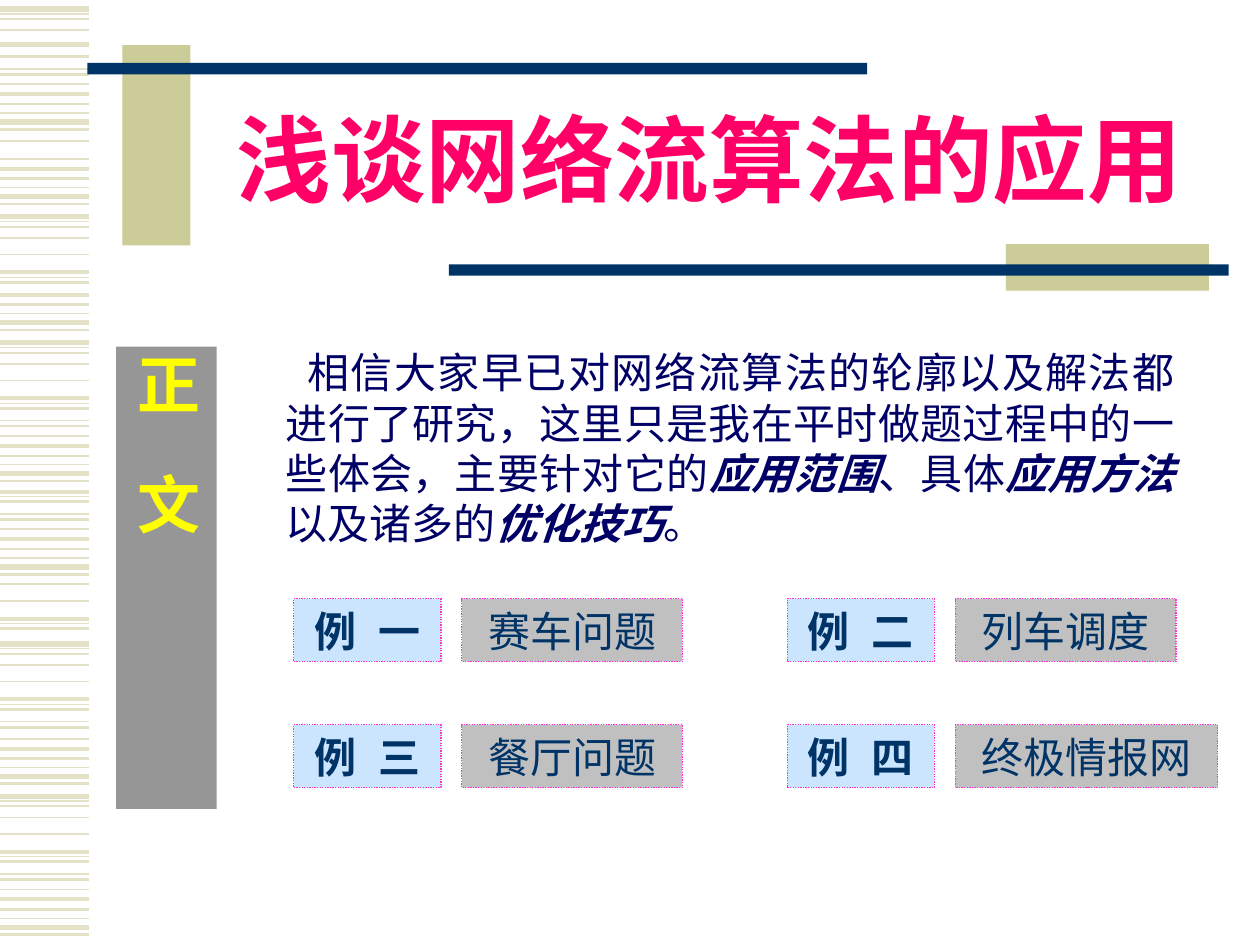
import pptx
import pptx.dml.color
import pptx.enum.dml
import pptx.enum.shapes
import pptx.enum.text
import pptx.oxml.ns
import pptx.util
from lxml import etree

Cm, Pt = pptx.util.Cm, pptx.util.Pt
Align = pptx.enum.text.PP_ALIGN
Anchor = pptx.enum.text.MSO_ANCHOR
qn = pptx.oxml.ns.qn

COLORS = {
    "stripe": "E3E2C7", "sand": "CCCC99", "navy": "003366", "grey": "969696",
    "yellow": "FFFF00", "rose": "FF0066", "ink": "000066", "sky": "99CCFF",
    "pink": "FF33CC", "silver": "C0C0C0",
}
SANS, SERIF = "Noto Sans CJK SC", "Times New Roman"

RISE = [(-0.76, 1), (-0.56, 2.25), (-0.36, 1.5), (-0.18, 0.75), (0, 3), (0.15, 1.5)]
FALL = [(0, 3), (0.1, 0.75), (0.2, 1), (0.43, 1), (0.76, 1),
        (1.12, 2.25), (1.22, 0.75), (1.32, 1.5), (1.57, 0.75), (1.68, 1.5)]
BANDS = [(RISE, y) for y in (18.69, 15.65, 11.43, 9.55, 3.96, 2.46)]
BANDS += [(FALL, y) for y in (16.05, 12.98, 6.91)]
BANDS += [(RISE[1:], 6.5), (RISE[4:5], 0.89), (FALL[:8], 4.37), (FALL[3:8], 11.35),
          (FALL[5:], 8.79), (FALL[7:], -0.18), (FALL[:4], 0.18), (FALL[4:5], 2.08)]


def paint(name):
    """Return the named colour."""
    return pptx.dml.color.RGBColor.from_string(COLORS[name])


def place(shape, left, top, width, height):
    """Move a shape to a box in centimetres."""
    shape.left, shape.top = Cm(left), Cm(top)
    shape.width, shape.height = Cm(width), Cm(height)


def block(slide, box, fill, edge=None):
    """Add a filled rectangle, with a dotted edge if a colour is given."""
    kind = pptx.enum.shapes.MSO_SHAPE.RECTANGLE
    shape = slide.shapes.add_shape(kind, *map(Cm, box))
    shape.shadow.inherit = False
    shape.fill.solid()
    shape.fill.fore_color.rgb = paint(fill)
    if edge:
        shape.line.color.rgb = paint(edge)
        shape.line.width = Pt(0.75)
        shape.line.dash_style = pptx.enum.dml.MSO_LINE.ROUND_DOT
    else:
        shape.line.fill.background()
    return shape


def setup(shape, align, anchor):
    """Set margins and alignment, and return the first paragraph."""
    frame = shape.text_frame
    frame.word_wrap = True
    frame.auto_size = pptx.enum.text.MSO_AUTO_SIZE.NONE
    frame.vertical_anchor = anchor
    frame.margin_left = frame.margin_right = Cm(0.25)
    frame.margin_top = frame.margin_bottom = Cm(0.13)
    para = frame.paragraphs[0]
    para.alignment = align
    para.space_before = Pt(0)
    return para


def write(para, text, size, color, face=SERIF, bold=False, slant=False, gap=0):
    """Add one run, with extra letter spacing in points if wanted."""
    run = para.add_run()
    run.text = text
    font = run.font
    font.size, font.bold, font.italic = Pt(size), bold, slant
    font.name = face
    font.color.rgb = paint(color)
    props = run._r.get_or_add_rPr()
    etree.SubElement(props, qn("a:ea")).set("typeface", SANS)
    if gap:
        props.set("spc", str(round(gap * 100)))


def stripes(slide, left, top, width):
    """Draw the striped margin from its repeating bands."""
    kind = pptx.enum.shapes.MSO_CONNECTOR.STRAIGHT
    for band, base in BANDS:
        for step, weight in band:
            y = Cm(top + base + step)
            line = slide.shapes.add_connector(kind, Cm(left), y, Cm(left + width), y)
            line.line.color.rgb = paint("stripe")
            line.line.width = Pt(weight)
            etree.SubElement(line._element.spPr, qn("a:effectLst"))


def header(slide, left, top):
    """Draw the bars around the heading and fill the title."""
    block(slide, (left + 0.71, top, 1.37, 4.04), "sand")
    block(slide, (left, top + 0.36, 15.72, 0.23), "navy")
    block(slide, (left + 18.52, top + 4.01, 4.09, 0.94), "sand")
    block(slide, (left + 7.29, top + 4.42, 15.72, 0.23), "navy")
    title = slide.shapes.title
    place(title, left + 2.69, top + 0.99, 19.69, 2.54)
    para = setup(title, Align.CENTER, Anchor.MIDDLE)
    write(para, "浅谈网络流算法的应用", 54, "rose", bold=True)


def banner(slide, left, top, width, height):
    """Draw the upright section banner."""
    shape = block(slide, (left, top, width, height), "grey")
    para = setup(shape, Align.CENTER, Anchor.TOP)
    shape.text_frame._txBody.bodyPr.set("vert", "eaVert")
    para.line_spacing = Pt(43.2)
    write(para, "正", 36, "yellow", SANS, bold=True, gap=32.5)
    write(para, "文", 36, "yellow", SANS, bold=True)


def intro(slide, left, top, width, height):
    """Fill the body with the opening paragraph."""
    body = slide.placeholders[1]
    place(body, left, top, width, height)
    para = setup(body, Align.JUSTIFY, Anchor.TOP)
    para.line_spacing = Pt(28.8)
    props = para._p.get_or_add_pPr()
    props.set("marL", "0")
    props.set("indent", str(Cm(0.44)))
    etree.SubElement(props, qn("a:buNone"))
    parts = [
        ("相信大家早已对网络流算法的轮廓以及解法都进行了研究，"
         "这里只是我在平时做题过程中的一些体会，主要针对它的", False),
        ("应用范围", True), ("、具体", False), ("应用方法", True),
        ("以及诸多的", False), ("优化技巧", True), ("。", False),
    ]
    for text, strong in parts:
        write(para, text, 24, "ink", SANS, bold=strong, slant=strong)


def sample(slide, left, top, mark, name):
    """Draw one numbered example with its name."""
    tag = block(slide, (left, top, 2.97, 1.27), "sky", "pink")
    tint = tag._element.spPr.find(qn("a:solidFill"))[0]
    etree.SubElement(tint, qn("a:alpha")).set("val", "50000")
    para = setup(tag, Align.CENTER, Anchor.MIDDLE)
    write(para, "例", 24, "navy", bold=True, gap=12.5)
    write(para, mark, 24, "navy", bold=True)
    width = 4.45 if len(name) < 5 else 5.29
    card = block(slide, (left + 3.39, top, width, 1.27), "silver", "pink")
    write(setup(card, Align.CENTER, Anchor.MIDDLE), name, 24, "navy")


def samples(slide, left, top):
    """Lay the examples out in two columns."""
    items = [("一", "赛车问题"), ("二", "列车调度"), ("三", "餐厅问题"), ("四", "终极情报网")]
    for i, (mark, name) in enumerate(items):
        row, col = divmod(i, 2)
        sample(slide, left + col * 9.95, top + row * 2.54, mark, name)


def main():
    """Build the slide and save it."""
    deck = pptx.Presentation()
    deck.slide_width, deck.slide_height = Cm(25.4), Cm(19.05)
    slide = deck.slides.add_slide(deck.slide_layouts[1])
    stripes(slide, 0, 0, 1.8)
    header(slide, 1.76, 0.91)
    banner(slide, 2.34, 6.99, 2.03, 9.32)
    intro(slide, 5.51, 6.86, 18.42, 4.32)
    samples(slide, 5.92, 12.07)
    deck.save("out.pptx")


if __name__ == "__main__":
    main()
